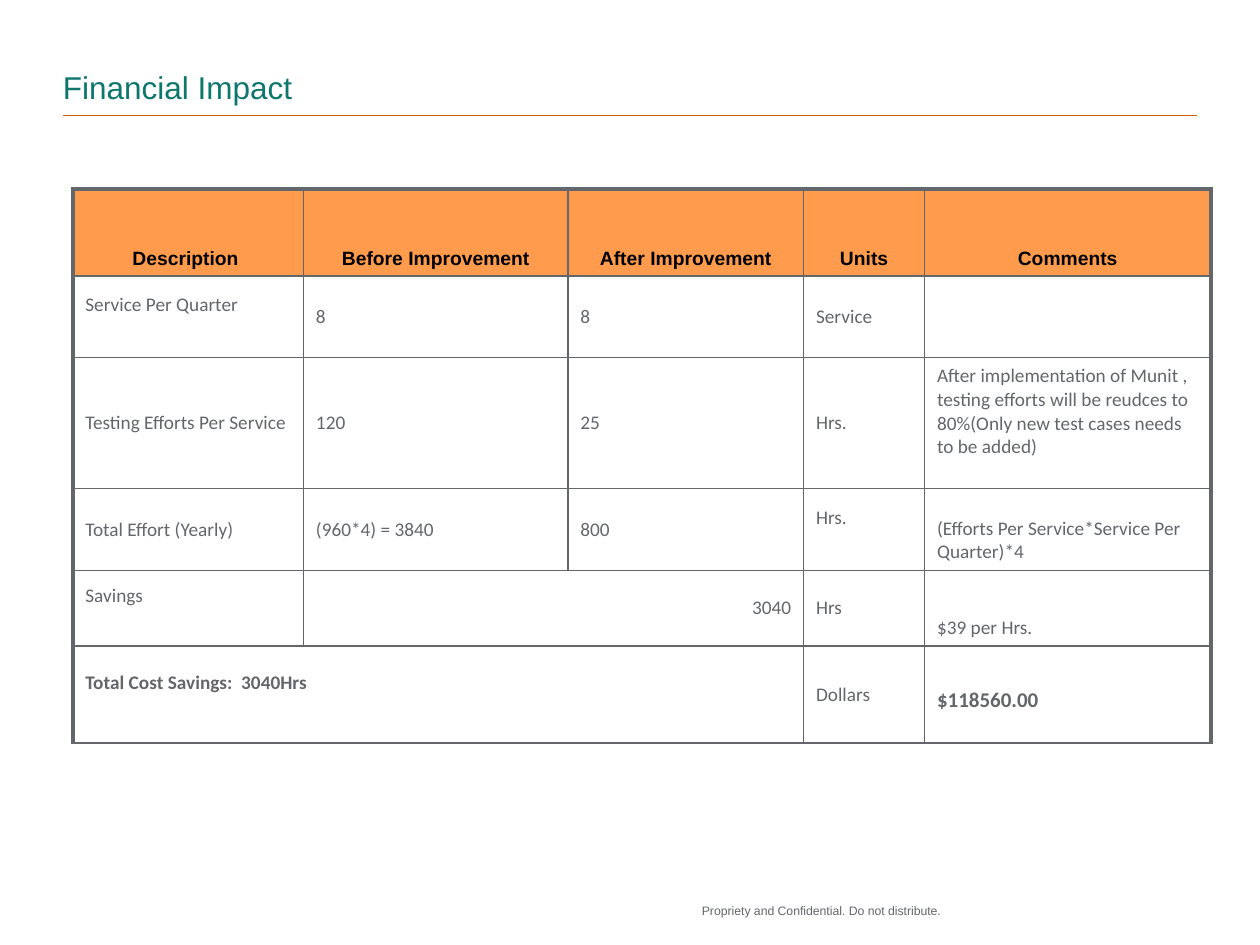
from lxml import etree
from pptx import Presentation
from pptx.dml.color import RGBColor
from pptx.enum import shapes, text
from pptx.oxml.ns import qn
from pptx.util import Cm, Pt

THEME = {
    "teal": "0D776E", "rule": "D45D00", "grey": "63666A",
    "black": "000000", "header": "FF9B4C",
    "head_font": "Arial", "body_font": "Calibri",
    "title": 18, "body": 11, "total": 12, "footer": 7,
    "outer": 2.25, "inner": 1,
}
TITLE = "Financial Impact"
FOOTER = "Propriety and Confidential. Do not distribute."
ROWS = [
    ["Description ", "Before Improvement", "After Improvement", "Units", "Comments"],
    ["Service Per Quarter", "8", "8", "Service", ""],
    ["Testing Efforts Per Service", "120", "25", "Hrs.",
     "After implementation of Munit , testing efforts will be reudces to "
     "80%(Only new test cases needs to be added)"],
    ["Total Effort (Yearly)", "(960*4) = 3840", "800", "Hrs.",
     "(Efforts Per Service*Service Per Quarter)*4"],
    ["Savings", "3040", "", "Hrs", "$39 per Hrs."],
    ["Total Cost Savings:  3040Hrs", "", "", "Dollars", "$118560.00"],
]
COL_WIDTHS = [4.65, 5.33, 4.75, 2.44, 5.77]
ROW_HEIGHTS = [1.75, 1.65, 2.64, 1.65, 1.52, 1.96]
MERGES = [((4, 1), (4, 2)), ((5, 0), (5, 2))]
RAISED = {(1, 0), (2, 4), (3, 3), (4, 0), (5, 0), (5, 4)}
BOLD = {(5, 0), (5, 4)}
COMMENTS = len(COL_WIDTHS) - 1


def rgb(name):
    return RGBColor.from_string(THEME[name])


def style(p, font, size, color, bold=False):
    for r in p.runs:
        r.font.name = THEME[font]
        r.font.size = Pt(THEME[size])
        r.font.color.rgb = rgb(color)
        r.font.bold = bold


def add_text(slide, box, words, size, color, anchor, wrap):
    tf = slide.shapes.add_textbox(*map(Cm, box)).text_frame
    tf.margin_left = tf.margin_right = tf.margin_top = tf.margin_bottom = 0
    tf.word_wrap = wrap
    tf.vertical_anchor = anchor
    tf.text = words
    style(tf.paragraphs[0], "head_font", size, color)


def add_borders(cell, row, col):
    edges = {
        "L": "outer" if col == 0 else "inner",
        "R": "outer" if col == COMMENTS else "inner",
        "T": "outer" if row == 0 else "inner",
        "B": "inner",
    }
    tc_pr = cell._tc.get_or_add_tcPr()
    for side, weight in edges.items():
        if cell.is_spanned and side in "LR":
            continue
        ln = etree.SubElement(tc_pr, qn("a:ln" + side), w=str(Pt(THEME[weight])))
        fill = etree.SubElement(ln, qn("a:solidFill"))
        etree.SubElement(fill, qn("a:srgbClr"), val=THEME["grey"])


def fill_cell(cell, row, col, words):
    header = row == 0
    add_borders(cell, row, col)
    if header:
        cell.fill.solid()
        cell.fill.fore_color.rgb = rgb("header")
    else:
        cell.fill.background()
    cell.margin_left = cell.margin_right = Cm(0.25)
    cell.margin_top = Cm(0.13)
    cell.margin_bottom = Cm(0.61 if (row, col) in RAISED else 0.13)
    low = header or col == COMMENTS
    cell.vertical_anchor = text.MSO_ANCHOR.BOTTOM if low else text.MSO_ANCHOR.MIDDLE
    if not words:
        return
    cell.text_frame.text = words
    p = cell.text_frame.paragraphs[0]
    if header:
        p.alignment = text.PP_ALIGN.CENTER
        p.line_spacing = 0.95
        style(p, "head_font", "body", "black", True)
    else:
        p.alignment = text.PP_ALIGN.RIGHT if (row, col) == (4, 1) else text.PP_ALIGN.LEFT
        size = "total" if (row, col) == (5, COMMENTS) else "body"
        style(p, "body_font", size, "grey", (row, col) in BOLD)


def add_impact_table(slide):
    frame = slide.shapes.add_table(
        len(ROWS), len(COL_WIDTHS), Cm(1.47), Cm(3.81),
        Cm(sum(COL_WIDTHS)), Cm(sum(ROW_HEIGHTS)))
    table = frame.table
    table.first_row = table.horz_banding = False
    for column, width in zip(table.columns, COL_WIDTHS):
        column.width = Cm(width)
    for line, height in zip(table.rows, ROW_HEIGHTS):
        line.height = Cm(height)
    for start, end in MERGES:
        table.cell(*start).merge(table.cell(*end))
    for row, values in enumerate(ROWS):
        for col, words in enumerate(values):
            fill_cell(table.cell(row, col), row, col, words)


def main():
    prs = Presentation()
    prs.slide_width, prs.slide_height = Cm(25.4), Cm(19.05)
    slide = prs.slides.add_slide(prs.slide_layouts[6])

    rule = slide.shapes.add_connector(
        shapes.MSO_CONNECTOR.STRAIGHT, Cm(1.27), Cm(2.33), Cm(24.13), Cm(2.33))
    rule.line.color.rgb = rgb("rule")
    rule.line.width = Pt(THEME["inner"])
    etree.SubElement(rule._element.spPr, qn("a:effectLst"))

    add_text(slide, (14.15, 18.21, 5.28, 0.64), FOOTER, "footer", "grey",
             text.MSO_ANCHOR.TOP, False)
    add_text(slide, (1.27, 0.43, 22.86, 1.7), TITLE, "title", "teal",
             text.MSO_ANCHOR.BOTTOM, True)
    add_impact_table(slide)
    prs.save("out.pptx")


if __name__ == "__main__":
    main()
